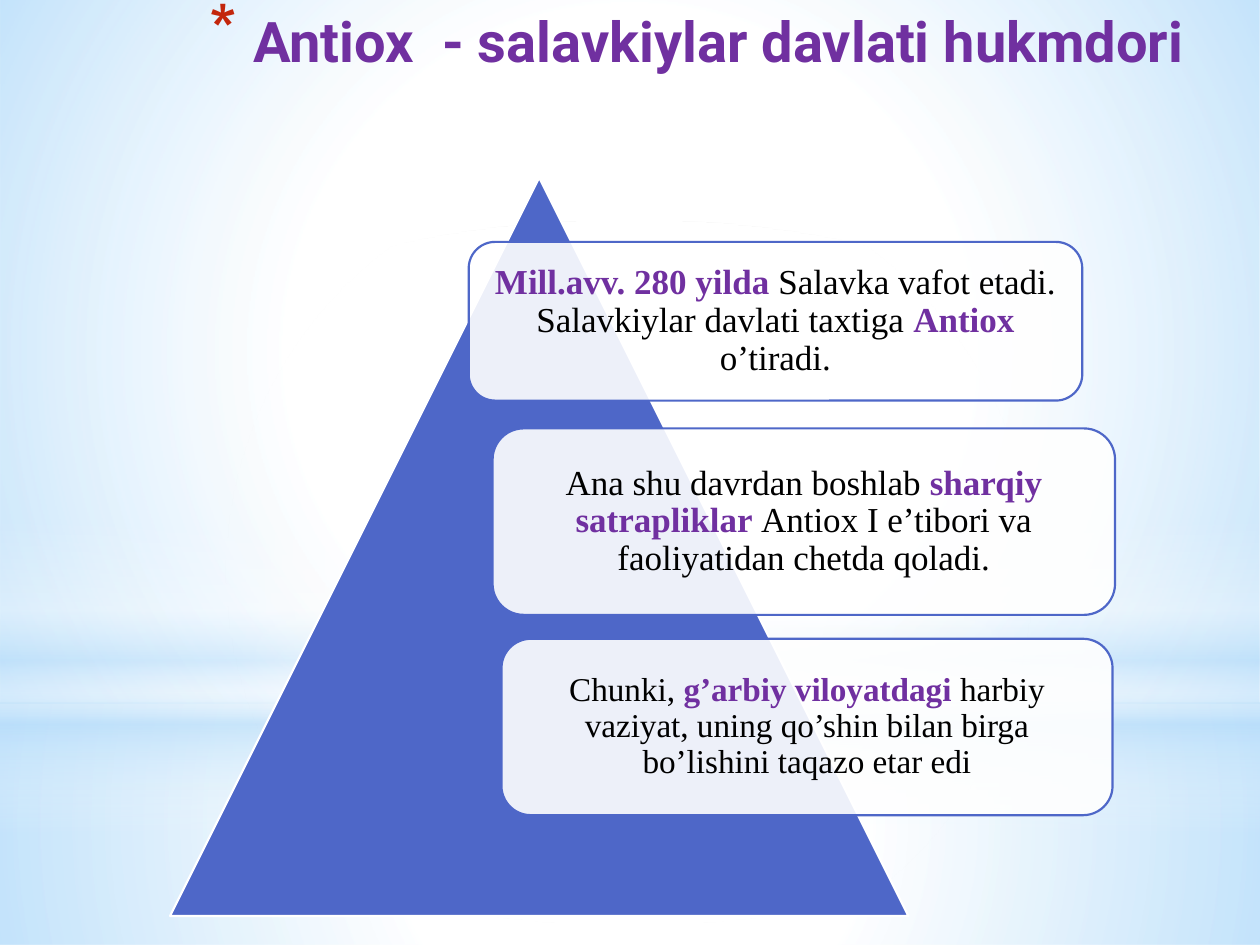
import pptx
import pptx.util
import pptx.dml.color
import pptx.enum.shapes
import pptx.enum.text
import pptx.oxml
import pptx.oxml.ns
from lxml import etree

Inches = pptx.util.Inches
Pt = pptx.util.Pt
SHAPES = pptx.enum.shapes.MSO_SHAPE
ALIGN = pptx.enum.text.PP_ALIGN
ANCHOR = pptx.enum.text.MSO_ANCHOR
qn = pptx.oxml.ns.qn

COLORS = {
    "white": "FFFFFF",
    "sky": "B4DCFA",
    "blue": "4E67C8",
    "purple": "7030A0",
    "black": "000000",
    "red": "C3260C",
}

BACKDROP = [
    (SHAPES.RECTANGLE, (0, 5.58, 10, 1.92), "circle",
     [(0, "white", 91), (37, "white", 76), (100, "sky", 79)]),
    (SHAPES.RECTANGLE, (0, 0, 10, 5.58), "circle",
     [(0, "white", 89), (48, "white", 62), (100, "sky", 79)]),
    (SHAPES.RECTANGLE, (0, 4.12, 10, 2.5), "linear",
     [(0, "white", 0), (29, "white", 30), (45, "sky", 40),
      (55, "white", 26), (65, "sky", 60), (100, "white", 0)]),
    (SHAPES.OVAL, (0, 1.75, 10, 5.58), "circle",
     [(0, "white", 100), (56, "white", 0)]),
]

CARDS = [
    ((3.72, 1.92, 4.87, 1.26), 20, [
        ("Mill.avv. 280 yilda ", True),
        ("Salavka vafot etadi. Salavkiylar davlati taxtiga ", False),
        ("Antiox ", True),
        ("o’tiradi.", False)]),
    ((3.91, 3.4, 4.94, 1.48), 20, [
        ("Ana shu davrdan boshlab ", False),
        ("sharqiy satrapliklar ", True),
        ("Antiox I e’tibori va faoliyatidan chetda qoladi.", False)]),
    ((3.98, 5.07, 4.85, 1.4), 19, [
        ("Chunki, ", False),
        ("g’arbiy viloyatdagi ", True),
        ("harbiy vaziyat, uning qo’shin bilan birga bo’lishini taqazo etar edi", False)]),
]


def rgb(color):
    return pptx.dml.color.RGBColor.from_string(COLORS[color])


def set_values(target, values):
    for name, value in values.items():
        setattr(target, name, value)


def add_child(parent, tag, **attributes):
    return etree.SubElement(parent, qn(tag), {key: str(value) for key, value in attributes.items()})


def add_figure(slide, kind, box, fill=None, line=None):
    shape = slide.shapes.add_shape(kind, *map(Inches, box))
    shape.shadow.inherit = False
    for part, color in ((shape.fill, fill), (shape.line.fill, line)):
        if color is None:
            part.background()
        else:
            part.solid()
            part.fore_color.rgb = rgb(color)
    if line:
        shape.line.width = Pt(1.25)
    return shape


def set_gradient(shape, style, stops):
    properties = shape.fill._xPr
    gradient = pptx.oxml.parse_xml(f'<a:gradFill {pptx.oxml.ns.nsdecls("a")} rotWithShape="1"/>')
    stop_list = add_child(gradient, "a:gsLst")
    for position, color, opacity in stops:
        stop = add_child(stop_list, "a:gs", pos=position * 1000)
        value = add_child(stop, "a:srgbClr", val=COLORS[color])
        add_child(value, "a:alpha", val=opacity * 1000)
    if style == "circle":
        route = add_child(gradient, "a:path", path="circle")
        add_child(route, "a:fillToRect", l=50000, t=50000, r=50000, b=50000)
    else:
        add_child(gradient, "a:lin", ang=90 * 60000, scaled=0)
    properties.replace(properties.find(qn("a:noFill")), gradient)


def add_run(paragraph, text, font, size, color, bold):
    run = paragraph.add_run()
    run.text = text
    set_values(run.font, {"name": font, "size": Pt(size), "bold": bold})
    run.font.color.rgb = rgb(color)


def add_backdrop(slide):
    for kind, box, style, stops in BACKDROP:
        set_gradient(add_figure(slide, kind, box), style, stops)


def add_title(slide, box):
    title = slide.shapes.add_textbox(*map(Inches, box))
    set_values(title.text_frame, {"word_wrap": True, "vertical_anchor": ANCHOR.TOP})
    paragraph = title.text_frame.paragraphs[0]
    paragraph.alignment = ALIGN.RIGHT
    properties = paragraph._p.get_or_add_pPr()
    indent = Inches(0.35)
    properties.set("marL", str(indent))
    properties.set("indent", str(-indent))
    bullet_color = add_child(properties, "a:buClr")
    add_child(bullet_color, "a:srgbClr", val=COLORS["red"])
    add_child(properties, "a:buSzPct", val=128000)
    add_child(properties, "a:buChar", char="*")
    add_run(paragraph, "Antiox  - salavkiylar davlati hukmdori", "Roboto", 32, "purple", True)


def add_card(slide, box, size, pieces):
    card = add_figure(slide, SHAPES.ROUNDED_RECTANGLE, box, "white", "blue")
    fill_color = card.fill._xPr.find(qn("a:solidFill")).find(qn("a:srgbClr"))
    add_child(fill_color, "a:alpha", val=90000)
    frame = card.text_frame
    set_values(frame, {"word_wrap": True, "vertical_anchor": ANCHOR.MIDDLE})
    sides = ("left", "top", "right", "bottom")
    set_values(frame, {f"margin_{side}": Inches(0.08) for side in sides})
    paragraph = frame.paragraphs[0]
    set_values(paragraph, {"alignment": ALIGN.CENTER, "line_spacing": 0.9})
    for text, strong in pieces:
        add_run(paragraph, text, "Times New Roman", size, "purple" if strong else "black", strong)


def add_pyramid(slide, box):
    add_figure(slide, SHAPES.ISOSCELES_TRIANGLE, box, "blue", "white")
    for card_box, size, pieces in CARDS:
        add_card(slide, card_box, size, pieces)


def main():
    presentation = pptx.Presentation()
    set_values(presentation, {"slide_width": Inches(10), "slide_height": Inches(7.5)})
    slide = presentation.slides.add_slide(presentation.slide_layouts[6])
    slide.background.fill.solid()
    slide.background.fill.fore_color.rgb = rgb("white")
    add_backdrop(slide)
    add_title(slide, (0.5, 0, 9, 0.94))
    add_pyramid(slide, (1.35, 1.41, 5.86, 5.86))
    presentation.save("out.pptx")


if __name__ == "__main__":
    main()
